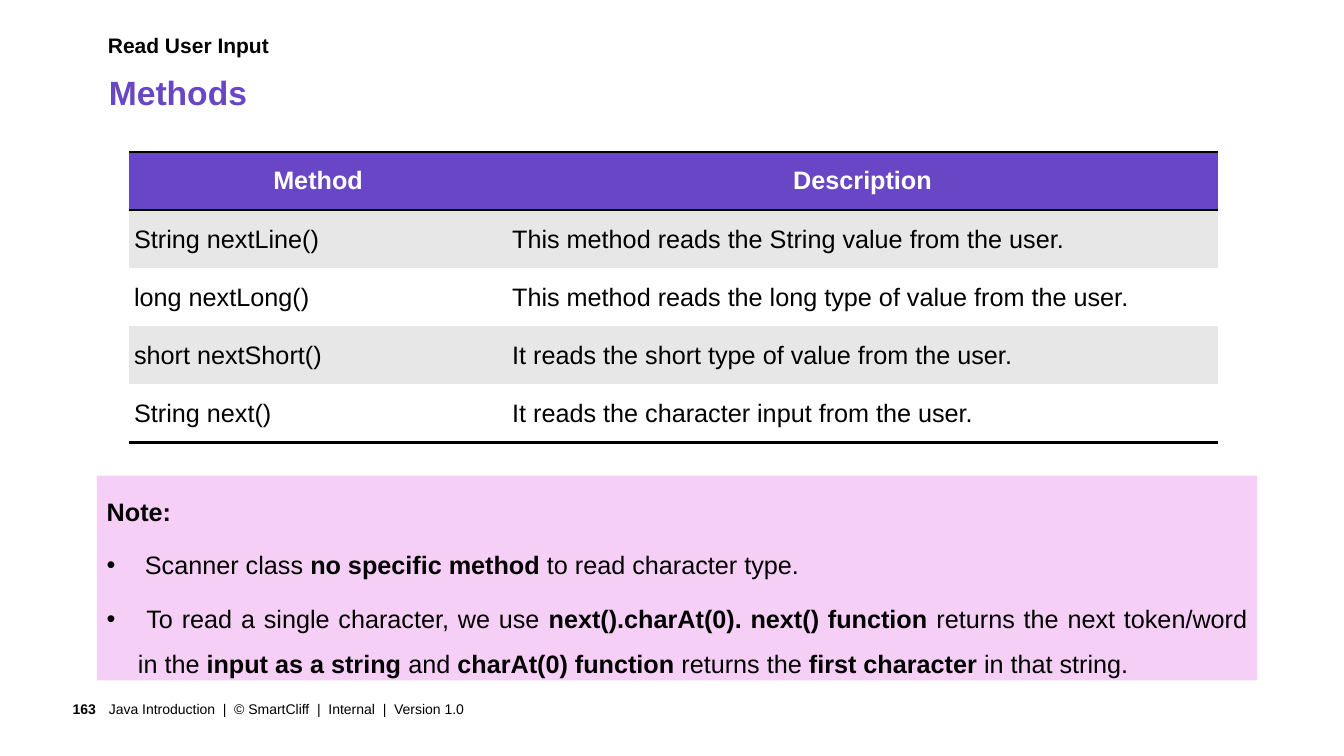
from lxml import etree
from pptx import Presentation
from pptx import util as u
from pptx.dml.color import RGBColor
from pptx.enum import shapes, text
from pptx.oxml import ns

BLACK = RGBColor(0x00, 0x00, 0x00)
WHITE = RGBColor(0xFF, 0xFF, 0xFF)
PURPLE = RGBColor(0x68, 0x46, 0xC6)
GREY = RGBColor(0xE7, 0xE7, 0xE7)
PINK = RGBColor(0xF6, 0xCF, 0xF6)

METHODS = [
    ("Method", "Description"),
    ("String nextLine()", "This method reads the String value from the user."),
    ("long nextLong()", "This method reads the long type of value from the user."),
    ("short nextShort()", "It reads the short type of value from the user."),
    ("String next()", "It reads the character input from the user."),
]
NOTES = [
    [("Note:", True)],
    [(" Scanner class ", False), ("no specific method ", True),
     ("to read character type.", False)],
    [(" To read a single character, we use ", False),
     ("next().charAt(0). next() function ", True),
     ("returns the next token/word in the ", False), ("input as a string ", True),
     ("and ", False), ("charAt(0) function ", True), ("returns the ", False),
     ("first character ", True), ("in that string.", False)],
]


def style(para, size, color=BLACK, bold=None, align=text.PP_ALIGN.LEFT):
    """Set the font and alignment of a paragraph."""
    para.alignment = align
    para.font.name, para.font.size = "Arial", u.Pt(size)
    para.font.color.rgb, para.font.bold = color, bold


def add_label(page, box, words, size, margins=(0, 0, 0, 0),
              anchor=text.MSO_ANCHOR.TOP, **look):
    """Place one line of text in the given box."""
    frame = page.shapes.add_textbox(*map(u.Inches, box)).text_frame
    frame.word_wrap, frame.vertical_anchor = True, anchor
    (frame.margin_left, frame.margin_top,
     frame.margin_right, frame.margin_bottom) = map(u.Inches, margins)
    frame.paragraphs[0].text = words
    style(frame.paragraphs[0], size, **look)


def add_heading(page, left, top, width):
    """Place the topic and the slide title."""
    add_label(page, (left, top, width, 0.41), "Read User Input", 15, bold=True)
    add_label(page, (left + 0.01, top + 0.39, width, 0.42), "Methods", 24,
              color=PURPLE, bold=True)


def set_borders(cell, ruled):
    """Rule the named sides of a cell and clear the others."""
    properties = cell._tc.get_or_add_tcPr()
    for index, side in enumerate(("lnL", "lnR", "lnT", "lnB")):
        line = etree.Element(ns.qn("a:" + side), w=str(u.Pt(2)))
        if side in ruled:
            fill = etree.SubElement(line, ns.qn("a:solidFill"))
            etree.SubElement(fill, ns.qn("a:srgbClr"), val=str(BLACK))
        else:
            etree.SubElement(line, ns.qn("a:noFill"))
        properties.insert(index, line)


def add_methods(page, left, top, widths, row_height):
    """Place the table of methods and descriptions."""
    table = page.shapes.add_table(
        len(METHODS), len(widths), u.Inches(left), u.Inches(top),
        u.Inches(sum(widths)), u.Inches(row_height * len(METHODS))).table
    for column, width in zip(table.columns, widths):
        column.width = u.Inches(width)
    last = len(METHODS) - 1
    for i, entries in enumerate(METHODS):
        table.rows[i].height = u.Inches(row_height)
        ruled = {0: ("lnT", "lnB"), 1: ("lnT",), last: ("lnB",)}.get(i, ())
        for cell, words in zip(table.rows[i].cells, entries):
            cell.text = words
            cell.vertical_anchor = text.MSO_ANCHOR.MIDDLE
            cell.margin_left = cell.margin_right = u.Inches(0.05)
            cell.fill.solid()
            if i == 0:
                cell.fill.fore_color.rgb = PURPLE
                style(cell.text_frame.paragraphs[0], 18, WHITE, True,
                      text.PP_ALIGN.CENTER)
            else:
                cell.fill.fore_color.rgb = GREY if i % 2 else WHITE
                style(cell.text_frame.paragraphs[0], 18, bold=False)
            set_borders(cell, ruled)


def add_notes(page, box):
    """Place the shaded note with its bullets."""
    panel = page.shapes.add_shape(shapes.MSO_SHAPE.RECTANGLE, *map(u.Inches, box))
    panel.shadow.inherit = False
    panel.fill.solid()
    panel.fill.fore_color.rgb = PINK
    panel.line.fill.background()
    frame = panel.text_frame
    frame.word_wrap, frame.vertical_anchor = True, text.MSO_ANCHOR.TOP
    for i, spans in enumerate(NOTES):
        para = frame.add_paragraph() if i else frame.paragraphs[0]
        para.line_spacing = 1.5
        if i:
            para.space_before = u.Pt(6)
            properties = para._p.get_or_add_pPr()
            properties.set("marL", str(u.Inches(0.31)))
            properties.set("indent", str(u.Inches(-0.31)))
            etree.SubElement(properties, ns.qn("a:buFont"), typeface="Arial")
            etree.SubElement(properties, ns.qn("a:buChar"), char="•")
        style(para, 18, align=text.PP_ALIGN.JUSTIFY)
        for words, bold in spans:
            span = para.add_run()
            span.text, span.font.bold = words, bold


def add_footer(page, left, top, height):
    """Place the page number and the copyright line."""
    middle = text.MSO_ANCHOR.MIDDLE
    add_label(page, (left, top, 0.65, height), "163", 10, (0.1, 0.05, 0.12, 0.05),
              middle, bold=True, align=text.PP_ALIGN.RIGHT)
    add_label(page, (left + 0.66, top, 9.36, height),
              "Java Introduction  |  © SmartCliff  |  Internal  |  Version 1.0",
              10, (0, 0.05, 0.1, 0.05), middle)


def main():
    """Build the slide and save it."""
    deck = Presentation()
    deck.slide_width, deck.slide_height = u.Inches(13.33), u.Inches(7.5)
    page = deck.slides.add_slide(deck.slide_layouts[6])
    add_heading(page, 1.07, 0.32, 11.94)
    add_footer(page, 0.42, 6.88, 0.31)
    add_methods(page, 1.28, 1.51, (3.75, 7.05), 0.576)
    add_notes(page, (0.96, 4.72, 11.51, 2.03))
    deck.save("out.pptx")


if __name__ == "__main__":
    main()
